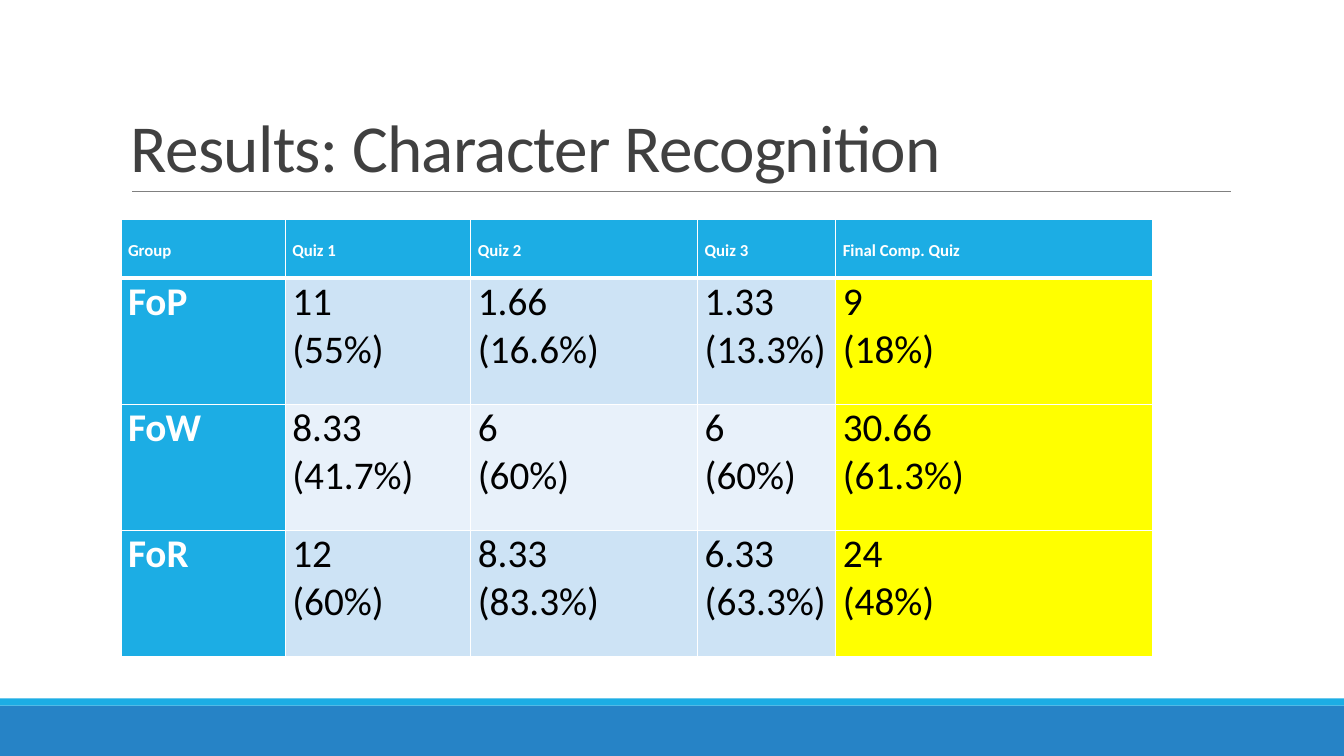
from lxml import etree
from pptx import Presentation
from pptx.dml.color import RGBColor
from pptx.enum import shapes, text
from pptx.oxml import ns
from pptx.util import Inches, Pt

FONT = "Calibri"
WHITE, BLACK, CYAN, BLUE, YELLOW = "FFFFFF", "000000", "1CADE4", "2683C6", "FFFF00"
BANDS = ["CDE3F5", "E8F1FA"]
COLUMN_WIDTHS = [1.63, 1.84, 2.25, 1.37, 3.14]
ROW_HEIGHTS = [0.58, 1.25, 1.25, 1.25]
RESULTS = [
    ["Group", "Quiz 1", "Quiz 2", "Quiz 3", "Final Comp. Quiz"],
    ["FoP", "11\n(55%)", "1.66\n(16.6%)", "1.33\n(13.3%)", "9\n(18%)"],
    ["FoW", "8.33\n(41.7%)", "6\n(60%)", "6\n(60%)", "30.66\n(61.3%)"],
    ["FoR", "12\n(60%)", "8.33\n(83.3%)", "6.33\n(63.3%)", "24\n(48%)"],
]


def paint(target, color):
    target.solid()
    target.fore_color.rgb = RGBColor.from_string(color)


def style(paragraph, size, color, bold=False, spacing=1.0):
    paragraph.line_spacing = spacing
    paragraph.font.name = FONT
    paragraph.font.size = Pt(size)
    paragraph.font.bold = bold
    paragraph.font.color.rgb = RGBColor.from_string(color)


def add_band(slide, top, height, color):
    band = slide.shapes.add_shape(
        shapes.MSO_SHAPE.RECTANGLE, 0, Inches(top), Inches(13.33), Inches(height))
    band.shadow.inherit = False
    paint(band.fill, color)
    band.line.fill.background()


def add_rule(slide, left, right, y):
    rule = slide.shapes.add_connector(
        shapes.MSO_CONNECTOR.STRAIGHT, Inches(left), Inches(y), Inches(right), Inches(y))
    rule.line.width = Pt(0.5)
    paint(rule.line.fill, "808080")
    etree.SubElement(rule._element.spPr, ns.qn("a:effectLst"))


def add_title(slide, wording):
    title = slide.shapes.add_textbox(Inches(1.2), Inches(0.31), Inches(11), Inches(1.59))
    frame = title.text_frame
    frame.word_wrap = True
    frame.vertical_anchor = text.MSO_ANCHOR.BOTTOM
    frame.text = wording
    heading = frame.paragraphs[0]
    style(heading, 48, "404040", spacing=0.85)
    heading.runs[0]._r.get_or_add_rPr().set("spc", "-50")


def add_borders(cell, top, bottom):
    properties = cell._tc.get_or_add_tcPr()
    for side, width in zip("LRTB", (1, 1, top, bottom)):
        border = etree.SubElement(properties, ns.qn(f"a:ln{side}"), w=str(Pt(width)))
        fill = etree.SubElement(border, ns.qn("a:solidFill"))
        etree.SubElement(fill, ns.qn("a:srgbClr"), val=WHITE)


def fill_color(row, column):
    if row == 0 or column == 0:
        return CYAN
    if column == len(COLUMN_WIDTHS) - 1:
        return YELLOW
    return BANDS[(row - 1) % 2]


def fill_cell(cell, row, column, wording):
    cell.margin_left = cell.margin_right = Inches(0.07)
    cell.margin_top = cell.margin_bottom = 0
    add_borders(cell, 3 if row == 1 else 1, 3 if row == 0 else 1)
    paint(cell.fill, fill_color(row, column))
    cell.text = wording
    heading = row == 0 or column == 0
    for paragraph in cell.text_frame.paragraphs:
        style(paragraph, 28 if row else 12, WHITE if heading else BLACK,
              heading, 1.0 if row else 2.0)


def add_results(slide):
    table = slide.shapes.add_table(
        len(ROW_HEIGHTS), len(COLUMN_WIDTHS), Inches(1.2), Inches(2.18),
        Inches(sum(COLUMN_WIDTHS)), Inches(sum(ROW_HEIGHTS))).table
    for column, width in zip(table.columns, COLUMN_WIDTHS):
        column.width = Inches(width)
    for row, height in zip(table.rows, ROW_HEIGHTS):
        row.height = Inches(height)
    for row, values in enumerate(RESULTS):
        for column, wording in enumerate(values):
            fill_cell(table.cell(row, column), row, column, wording)


def main():
    deck = Presentation()
    deck.slide_width, deck.slide_height = Inches(13.33), Inches(7.5)
    slide = deck.slides.add_slide(deck.slide_layouts[6])
    add_band(slide, 7, 0.5, BLUE)
    add_band(slide, 6.93, 0.07, CYAN)
    add_rule(slide, 1.31, 12.21, 1.9)
    add_title(slide, "Results: Character Recognition")
    add_results(slide)
    deck.save("out.pptx")


if __name__ == "__main__":
    main()
